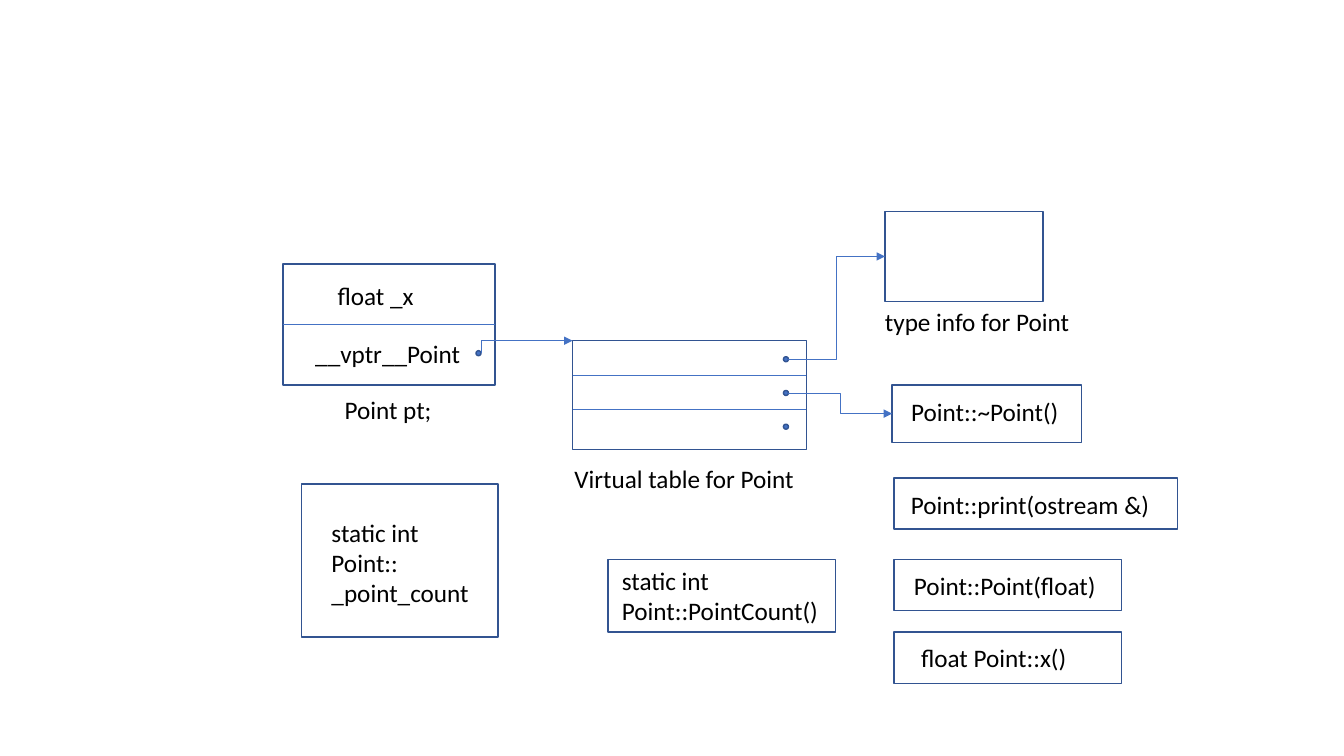
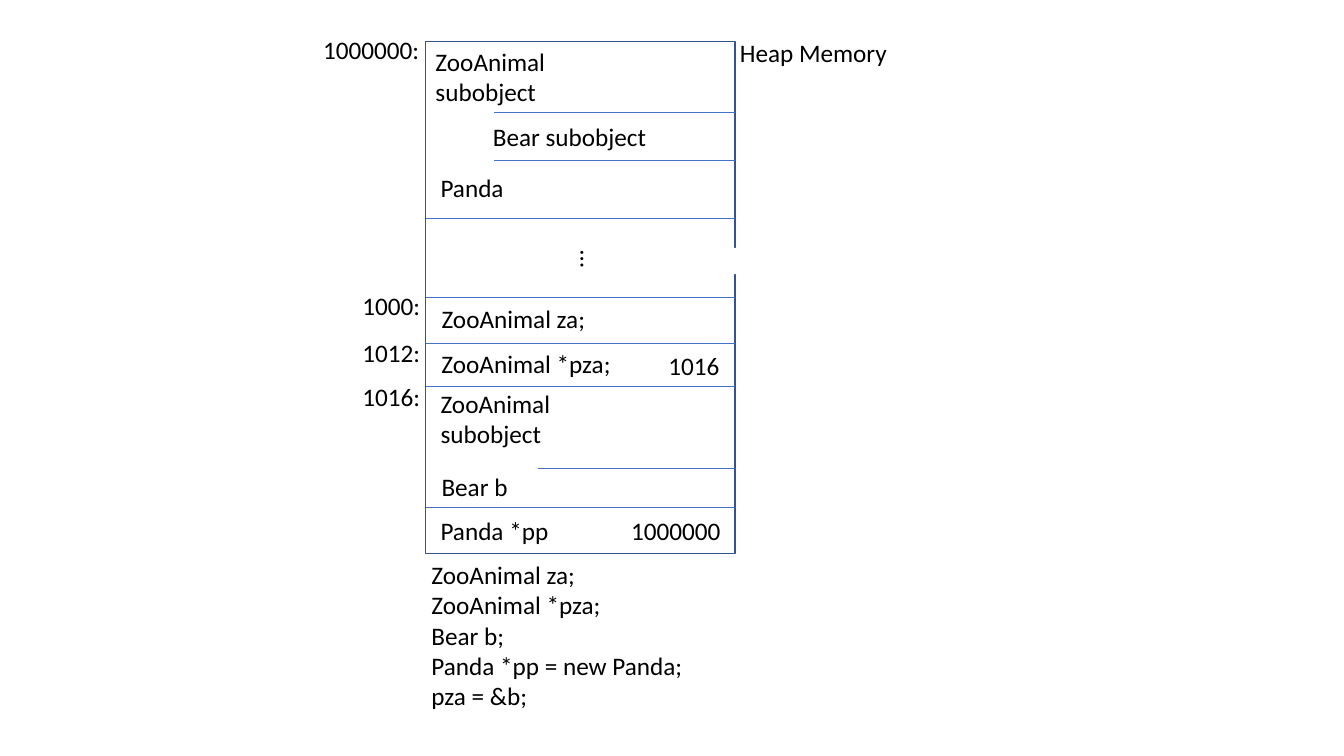
from lxml import etree
from pptx import Presentation
from pptx.dml.color import RGBColor
from pptx.enum import shapes, text
from pptx.oxml.ns import qn
from pptx.util import Pt

BLACK = RGBColor(0x00, 0x00, 0x00)
WHITE = RGBColor(0xFF, 0xFF, 0xFF)
BORDER = RGBColor(0x32, 0x54, 0x91)
ACCENT = RGBColor(0x44, 0x72, 0xC4)
FONT = "Calibri"
TEXT_SIZE = 18
LINE_HEIGHT = 21.8
TEXT_MARGINS = 7.2
DOT_SIZE = 3.6


def add_box(page, left, top, width, height, fill=None, line=BORDER,
            kind=shapes.MSO_SHAPE.RECTANGLE):
    """Add a preset shape; None leaves out the fill or the line."""
    box = page.shapes.add_shape(kind, Pt(left), Pt(top), Pt(width), Pt(height))
    box.shadow.inherit = False
    if fill is None:
        box.fill.background()
    else:
        box.fill.solid()
        box.fill.fore_color.rgb = fill
    if line is None:
        box.line.fill.background()
    else:
        box.line.color.rgb = line
        box.line.width = Pt(1)
    return box


def add_dot(page, center_x, center_y):
    add_box(page, center_x - DOT_SIZE / 2, center_y - DOT_SIZE / 2, DOT_SIZE, DOT_SIZE,
            fill=ACCENT, kind=shapes.MSO_SHAPE.OVAL)


def add_label(page, left, top, width, words, wrap=False):
    """Add a text box as tall as its lines."""
    lines = words.split("\n")
    label = page.shapes.add_textbox(Pt(left), Pt(top), Pt(width),
                                    Pt(TEXT_MARGINS + LINE_HEIGHT * len(lines)))
    frame = label.text_frame
    frame.text = words
    frame.word_wrap = wrap
    frame.auto_size = text.MSO_AUTO_SIZE.SHAPE_TO_FIT_TEXT
    for paragraph in frame.paragraphs:
        paragraph.font.name = FONT
        paragraph.font.size = Pt(TEXT_SIZE)
        paragraph.font.color.rgb = BLACK
    return label


def add_line(page, start, end, kind=shapes.MSO_CONNECTOR.STRAIGHT):
    line = page.shapes.add_connector(kind, *(Pt(value) for value in (*start, *end)))
    line.line.color.rgb = ACCENT
    line.line.width = Pt(0.5)
    etree.SubElement(line._element.spPr, qn("a:effectLst"))
    return line


def add_divider(page, left, right, y):
    return add_line(page, (left, y), (right, y))


def add_middle_divider(page, box, left, right, y):
    divider = add_divider(page, left, right, y)
    divider.begin_connect(box, 1)
    divider.end_connect(box, 3)


def add_elbow_arrow(page, start, end, bend=0.5):
    """Add a bent arrow that turns at the given share of its width."""
    arrow = add_line(page, start, end, shapes.MSO_CONNECTOR.ELBOW)
    properties = arrow._element.spPr
    guides = properties.find(qn("a:prstGeom")).get_or_add_avLst()
    etree.SubElement(guides, qn("a:gd"), name="adj1", fmla=f"val {round(bend * 100000)}")
    etree.SubElement(properties.find(qn("a:ln")), qn("a:tailEnd"), type="triangle")


def draw_virtual_table(page, left, top, width, height):
    """Draw the table and return the points its slots start from."""
    add_box(page, left, top, width, height)
    for offset in (24.5, 49):
        add_divider(page, left, left + width, top + offset)
    slots = [(left + 152.4, top + 13.2 + 24.1 * row) for row in range(3)]
    for slot in slots:
        add_dot(page, *slot)
    add_label(page, left - 5.8, top + 84.2, 172.8, "Virtual table for Point")
    return slots


def draw_point_object(page, left, top, width, height):
    """Draw the object and return the point its pointer starts from."""
    box = add_box(page, left, top, width, height)
    add_middle_divider(page, box, left, left + width, top + height / 2)
    add_label(page, left + 31.7, top + 7.9, 109.4, "float _x", wrap=True)
    add_label(page, left + 15.8, top + 49.7, 119.5, "__vptr__Point")
    add_label(page, left + 36.7, top + 89.3, 77.8, "Point pt;")
    pointer = (left + 139.5, top + 63.7)
    add_dot(page, *pointer)
    return pointer


def draw_member(page, frame, label_offset, label_width, words):
    left, top = frame[:2]
    add_box(page, *frame)
    add_label(page, left + label_offset[0], top + label_offset[1], label_width, words)


def build_object_model(page):
    members = [
        ((632.2, 151.2, 113, 64), (-7.2, 64), 147.6, "type info for Point"),
        ((637.2, 275, 135.4, 41), (6.5, 4.3), 121, "Point::~Point()"),
        ((638.6, 341.3, 202.3, 36.7), (5, 4.3), 186.5, "Point::print(ostream &)"),
        ((638.6, 399.6, 162.7, 36.7), (7.2, 4.3), 146.2, "Point::Point(float)"),
        ((638.6, 451.4, 162.7, 36.7), (12.2, 3.8), 119.5, "float Point::x()"),
        ((434.2, 399.6, 162.7, 51.8), (2.9, 0.7), 156.2, "static int\nPoint::PointCount()"),
        ((215.3, 345.6, 140.4, 109.4), (14.4, 20.2), 113.8,
         "static int\nPoint::\n_point_count"),
    ]
    for member in members:
        draw_member(page, *member)
    table = (409, 243.4, 167, 77.8)
    slots = draw_virtual_table(page, *table)
    for slot, (frame, *_) in zip(slots, members[:2]):
        left, top, _, height = frame
        add_elbow_arrow(page, (slot[0] + DOT_SIZE / 2, slot[1]), (left, top + height / 2))
    x, y = draw_point_object(page, 202.3, 188.6, 151.2, 86.4)
    add_elbow_arrow(page, (x + DOT_SIZE / 2, y), table[:2], bend=0)


def draw_memory_block(page, left, top, width, height):
    right = left + width
    block = add_box(page, left, top, width, height)
    add_middle_divider(page, block, left, right, top + height / 2)
    for indent, offset in ((49, 50.8), (49, 85.3), (0, 126.7), (0, 216),
                           (0, 246.2), (80, 305.3), (0, 332.6)):
        add_divider(page, left + indent, right, top + offset)
    contents = [
        (0, 0, 98, "ZooAnimal\nsubobject"),
        (41, 53.3, 125.3, "Bear subobject"),
        (3.6, 90, 60, "Panda"),
        (4.3, 183.6, 118, "ZooAnimal za;"),
        (4.3, 216, 136.8, "ZooAnimal *pza;"),
        (166.3, 217.4, 51, "1016"),
        (3.6, 244.1, 98, "ZooAnimal\nsubobject"),
        (4.3, 303.8, 62, "Bear b"),
        (3.6, 334.8, 93, "Panda *pp"),
        (139.7, 334.8, 79.2, "1000000"),
    ]
    for x, y, label_width, words in contents:
        add_label(page, left + x, top + y, label_width, words)
    ellipsis = add_label(page, left + 103.7, top + 141.8, 28.1, "…", wrap=True)
    ellipsis.rotation = 90
    add_box(page, right - 14.4, top + 147.6, 28.8, 18.7, fill=WHITE, line=None)


def draw_addresses(page, right, top):
    for offset, width, address in ((-8.6, 84.2, "1000000:"), (174.2, 56.2, "1000:"),
                                   (208.1, 56.2, "1012:"), (239, 56.2, "1016:")):
        add_label(page, right - width, top + offset, width, address)


def build_memory_layout(page):
    left, top, width, height = 304, 29.5, 221, 365.8
    draw_memory_block(page, left, top, width, height)
    draw_addresses(page, left + 4, top)
    add_label(page, left + width - 3.6, top - 6.5, 121, "Heap Memory")
    add_label(page, left - 2.9, top + height + 0.7, 195.8,
              "ZooAnimal za;\nZooAnimal *pza;\nBear b;\nPanda *pp = new Panda;\npza = &b;")


def main():
    deck = Presentation()
    deck.slide_width, deck.slide_height = Pt(960), Pt(540)
    blank = deck.slide_layouts.get_by_name("Blank")
    for build in (build_object_model, build_memory_layout):
        build(deck.slides.add_slide(blank))
    deck.save("out.pptx")


if __name__ == "__main__":
    main()
